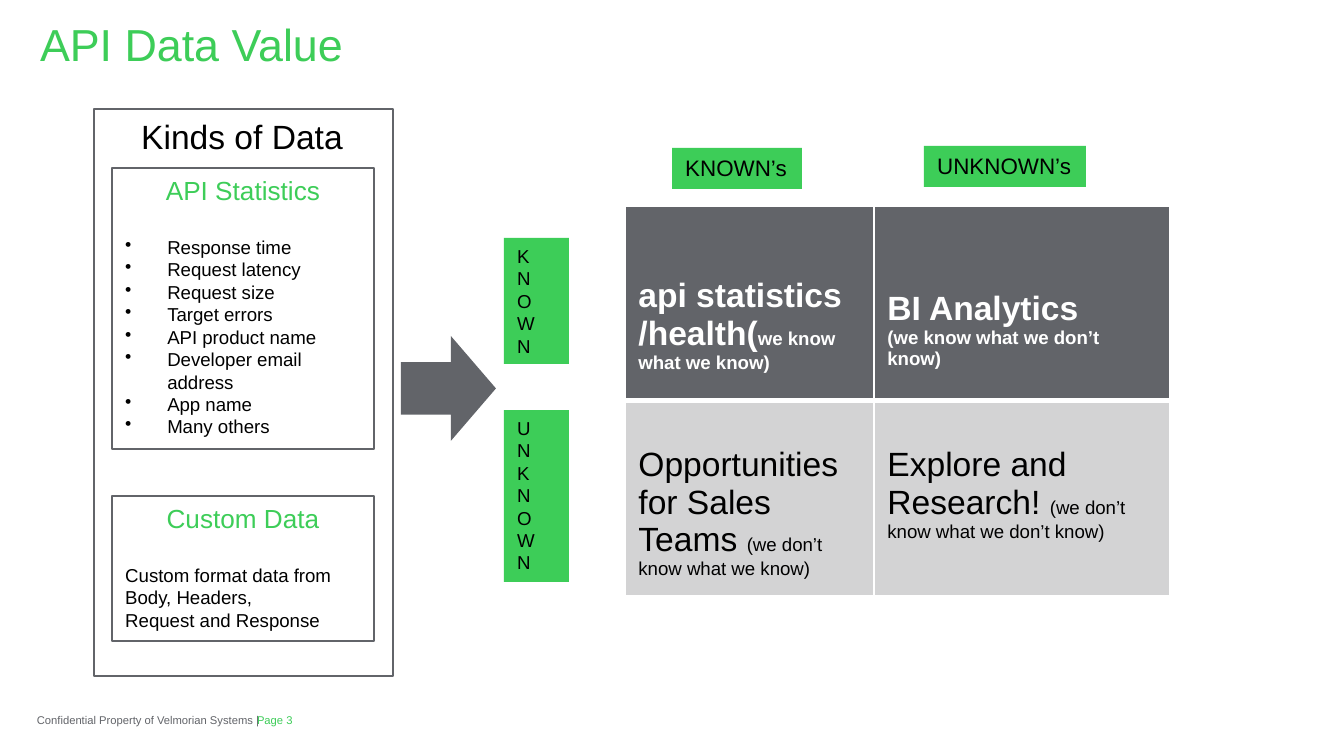
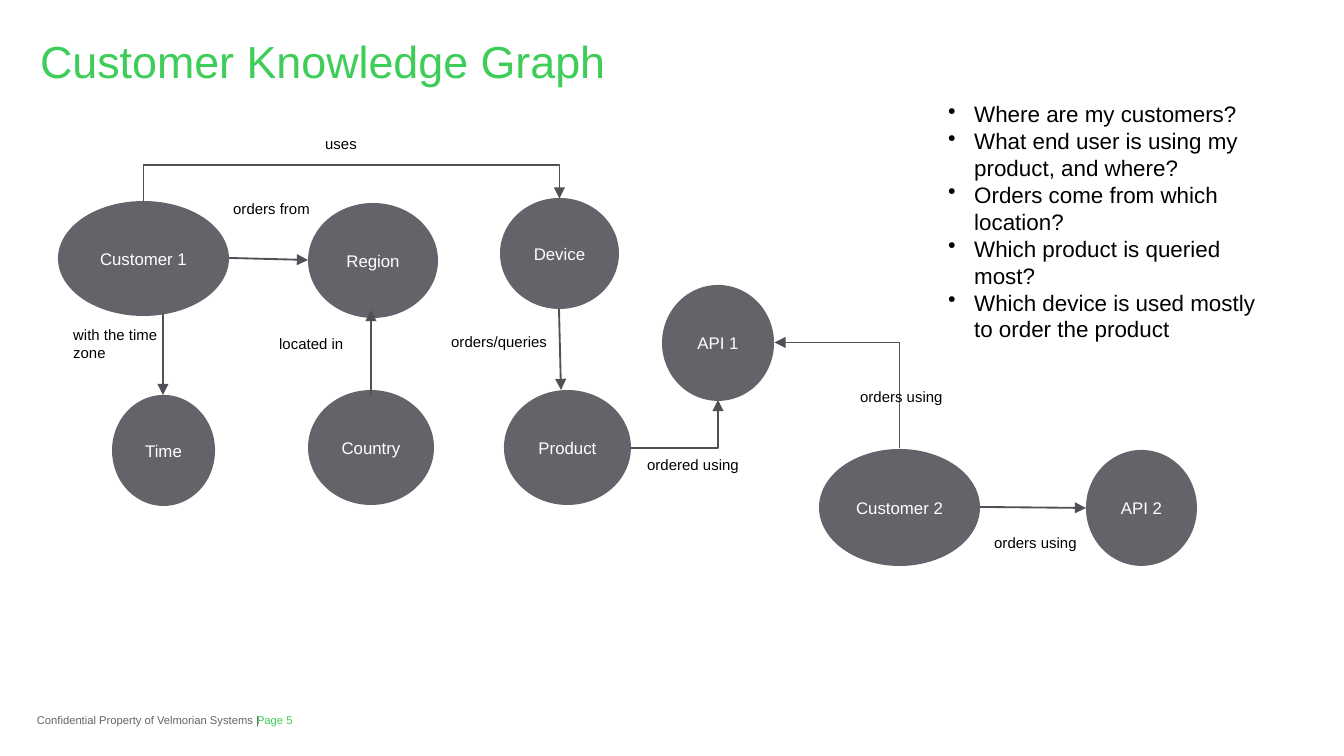
import pptx
import pptx.util
import pptx.dml.color
import pptx.enum.shapes
import pptx.enum.text
import pptx.oxml.ns
import lxml.etree

SCALE = 914400 / 134.4
GREEN, GREY, PALE, EDGE = "3DCD58", "626469", "D3D3D4", "4F5156"
BLACK, WHITE = "000000", "FFFFFF"
FONT = "Arial"
KIND = pptx.enum.shapes.MSO_SHAPE
LINK = pptx.enum.shapes.MSO_CONNECTOR
MID = pptx.enum.text.MSO_ANCHOR.MIDDLE
CENTER = pptx.enum.text.PP_ALIGN.CENTER


def px(n):
    """Turn pixels into EMU."""
    return pptx.util.Emu(round(n * SCALE))


def rgb(code):
    """Turn a hex string into a colour."""
    return pptx.dml.color.RGBColor.from_string(code)


def sub(node, tag, **attrs):
    """Append a drawing element to a node."""
    kid = lxml.etree.SubElement(node, pptx.oxml.ns.qn("a:" + tag))
    for key, val in attrs.items():
        kid.set(key, str(val))
    return kid


def style(item, size, color, bold=None):
    """Set the font of a paragraph or run."""
    font = item.font
    font.name, font.size, font.bold = FONT, pptx.util.Pt(size), bold
    font.color.rgb = rgb(color)


def write(frame, lines, size, color, align=None, bullet=0):
    """Add lines of text to a frame, with a hanging bullet if asked."""
    for line in lines:
        para = frame.paragraphs[0]
        if para.runs:
            para = frame.add_paragraph()
        para.add_run().text = line
        style(para, size, color)
        para.alignment = align or pptx.enum.text.PP_ALIGN.LEFT
        if bullet:
            props = para._p.get_or_add_pPr()
            props.set("marL", str(px(bullet)))
            props.set("indent", str(-px(bullet)))
            mark = lxml.etree.Element(pptx.oxml.ns.qn("a:buChar"), char="•")
            rest = props.find(pptx.oxml.ns.qn("a:defRPr"))
            if rest is None:
                props.append(mark)
            else:
                rest.addprevious(mark)


def text(slide, box, lines, size, color=BLACK, wrap=True, flush=False, **more):
    """Add a text box; a flush one has no insets."""
    frame = slide.shapes.add_textbox(*map(px, box)).text_frame
    frame.word_wrap = wrap
    if flush:
        frame.margin_left = frame.margin_right = 0
        frame.margin_top = frame.margin_bottom = 0
    write(frame, lines, size, color, **more)
    return frame


def shape(slide, kind, box, fill=None, line=None):
    """Add a plain preset shape."""
    item = slide.shapes.add_shape(kind, *map(px, box))
    item.shadow.inherit = False
    if fill:
        item.fill.solid()
        item.fill.fore_color.rgb = rgb(fill)
    else:
        item.fill.background()
    if line:
        item.line.color.rgb = rgb(line)
        item.line.width = pptx.util.Pt(0.75)
    else:
        item.line.fill.background()
    item.text_frame.vertical_anchor = pptx.enum.text.MSO_ANCHOR.TOP
    return item


def base(deck, title, top, page):
    """Add a slide with its title and footer."""
    slide = deck.slides.add_slide(deck.slide_layouts[6])
    text(slide, (257, 714, 77, 13), [f"Page {page}"], 6, GREEN,
         flush=True).vertical_anchor = MID
    text(slide, (37, 714, 222, 13),
         ["Confidential Property of Velmorian Systems |"], 6, GREY,
         flush=True).vertical_anchor = MID
    para = text(slide, (40, top, 1269, 54), [title], 24, GREEN,
                flush=True).paragraphs[0]
    para.space_before = para.space_after = pptx.util.Pt(5)
    return slide


def card(slide, box, head, lines, bullet=0):
    """Add an outlined box with a heading and lines."""
    frame = shape(slide, KIND.RECTANGLE, box, line=GREY).text_frame
    frame.word_wrap = True
    write(frame, [head], 14, GREEN, CENTER)
    frame.paragraphs[0].space_after = pptx.util.Pt(16)
    write(frame, lines, 10, BLACK, bullet=bullet)


def kinds(slide, x, y):
    """Add the panel of data kinds."""
    shape(slide, KIND.RECTANGLE, (x, y, 299, 567), line=GREY)
    text(slide, (x + 34, y, 231, 54), ["Kinds of Data"], 18, wrap=False)
    card(slide, (x + 18, y + 59, 262, 281), "API Statistics",
         ["Response time", "Request latency", "Request size", "Target errors",
          "API product name", "Developer email address", "App name",
          "Many others"], 42)
    card(slide, (x + 18, y + 387, 262, 145), "Custom Data",
         ["Custom format data from Body, Headers,", "Request and Response"])


def tag(slide, box, lines, size, wrap=True):
    """Add a green label."""
    frame = shape(slide, KIND.RECTANGLE, box, fill=GREEN).text_frame
    frame.word_wrap = wrap
    write(frame, lines, size, BLACK)


def edges(cell, base):
    """Draw white cell borders, the lower one as wide as asked."""
    props = cell._tc.get_or_add_tcPr()
    for spot, side in enumerate("LRTB"):
        wide = base if side == "B" else 1
        line = sub(props, "ln" + side, w=wide * 12700)
        sub(sub(line, "solidFill"), "srgbClr", val=WHITE)
        props.insert(spot, line)


def grid(slide, x, y):
    """Add the table of known and unknown things."""
    cells = [
        [(71, [[("api statistics", 18)],
               [("/health(", 18), ("we know what we know)", 10)]]),
         (84, [[("BI Analytics", 18)],
               [("(we know what we don’t know)", 10)]])],
        [(45, [[("Opportunities for Sales Teams ", 18),
                ("(we don’t know what we know)", 10)]]),
         (45, [[("Explore and Research! ", 18),
                ("(we don’t know what we don’t know)", 10)]])]]
    looks = [(GREY, WHITE, True, 3), (PALE, BLACK, False, 1)]
    table = slide.shapes.add_table(2, 2, *map(px, (x, y, 545, 375))).table
    table.first_row = table.horz_banding = False
    for col, wide in zip(table.columns, (249, 296)):
        col.width = px(wide)
    for row, tall in zip(table.rows, (195, 180)):
        row.height = px(tall)
    for r, (fill, ink, bold, low) in enumerate(looks):
        for c, (gap, paras) in enumerate(cells[r]):
            cell = table.cell(r, c)
            cell.fill.solid()
            cell.fill.fore_color.rgb = rgb(fill)
            edges(cell, low)
            cell.margin_top = px(gap)
            frame = cell.text_frame
            for n, parts in enumerate(paras):
                para = frame.add_paragraph() if n else frame.paragraphs[0]
                for words, size in parts:
                    run = para.add_run()
                    run.text = words
                    style(run, size, ink, bold)


def value(deck):
    """Build the slide on data value."""
    slide = base(deck, "API Data Value", 17, 3)
    grid(slide, 625, 206)
    kinds(slide, 94, 109)
    tag(slide, (504, 410, 65, 172), "UNKNOWN", 10)
    tag(slide, (504, 238, 65, 126), "KNOWN", 10)
    tag(slide, (672, 148, 130, 41), ["KNOWN’s"], 12)
    tag(slide, (924, 146, 162, 41), ["UNKNOWN’s"], 12, wrap=False)
    arrow = shape(slide, KIND.RIGHT_ARROW, (401, 336, 95, 105), fill=GREY)
    arrow.adjustments[1] = 0.475


def node(slide, name, box):
    """Add a named ellipse."""
    frame = shape(slide, KIND.OVAL, box, fill=GREY).text_frame
    frame.word_wrap = True
    frame.vertical_anchor = MID
    write(frame, [name], 9, WHITE, CENTER)


def link(slide, ends, kind=LINK.STRAIGHT):
    """Add a connector with an arrowhead at its end."""
    item = slide.shapes.add_connector(kind, *map(px, ends))
    item.line.color.rgb = rgb(EDGE)
    item.line.width = pptx.util.Pt(1)
    sub(item.line._get_or_add_ln(), "tailEnd", type="triangle")
    sub(item._element.spPr, "effectLst")
    return item


def bend(slide, box, preset, turn, flips, adjust=None):
    """Add an elbow, flipped and turned about the centre of its box."""
    x, y, w, h = box
    props = link(slide, (x, y, x + w, y + h), LINK.ELBOW)._element.spPr
    frame = props.find(pptx.oxml.ns.qn("a:xfrm"))
    frame.set("rot", str(turn * 60000))
    for flip in flips:
        frame.set("flip" + flip, "1")
    geom = props.find(pptx.oxml.ns.qn("a:prstGeom"))
    geom.set("prst", preset)
    if adjust:
        found = geom.find(pptx.oxml.ns.qn("a:avLst"))
        values = sub(geom, "avLst") if found is None else found
        sub(values, "gd", name="adj1", fmla=f"val {adjust * 100000}")


def graph(slide):
    """Add the nodes, links and link names."""
    nodes = {
        "Customer 1": (58, 201, 171, 115), "Region": (308, 203, 130, 115),
        "Country": (308, 390, 126, 115), "Device": (500, 198, 119, 111),
        "Product": (504, 390, 127, 115), "Time": (112, 395, 103, 111),
        "API 1": (662, 285, 112, 116), "Customer 2": (819, 449, 161, 117),
        "API 2": (1086, 450, 111, 116)}
    for name, box in nodes.items():
        node(slide, name, box)
    for ends in ((229, 258, 308, 260), (371, 395, 371, 310),
                 (163, 313, 163, 395), (559, 309, 561, 390),
                 (980, 507, 1086, 508)):
        link(slide, ends)
    bend(slide, (350, -8, 3, 416), "bentConnector3", 90, "HV", 12)
    bend(slide, (630, 400, 88, 48), "bentConnector2", 0, "V")
    bend(slide, (784, 333, 106, 125), "bentConnector2", 270, "V")
    for name, x, y in (
            ("uses", 312, 128), ("located in", 266, 328),
            ("orders/queries", 438, 326), ("orders from", 220, 193),
            ("with the time zone", 60, 319), ("ordered using", 634, 449),
            ("orders using", 847, 381), ("orders using", 981, 527)):
        text(slide, (x, y, 140, 28), [name], 8)


def knowledge(deck):
    """Build the slide on the customer graph."""
    slide = base(deck, "Customer Knowledge Graph", 34, 5)
    graph(slide)
    text(slide, (935, 94, 350, 298),
         ["Where are my customers?",
          "What end user is using my product, and where?",
          "Orders come from which location?", "Which product is queried most?",
          "Which device is used mostly to order the product"], 12, bullet=26)


def main():
    """Build and save the deck."""
    deck = pptx.Presentation()
    deck.slide_width, deck.slide_height = px(1344), px(756)
    value(deck)
    knowledge(deck)
    deck.save("out.pptx")


main()
